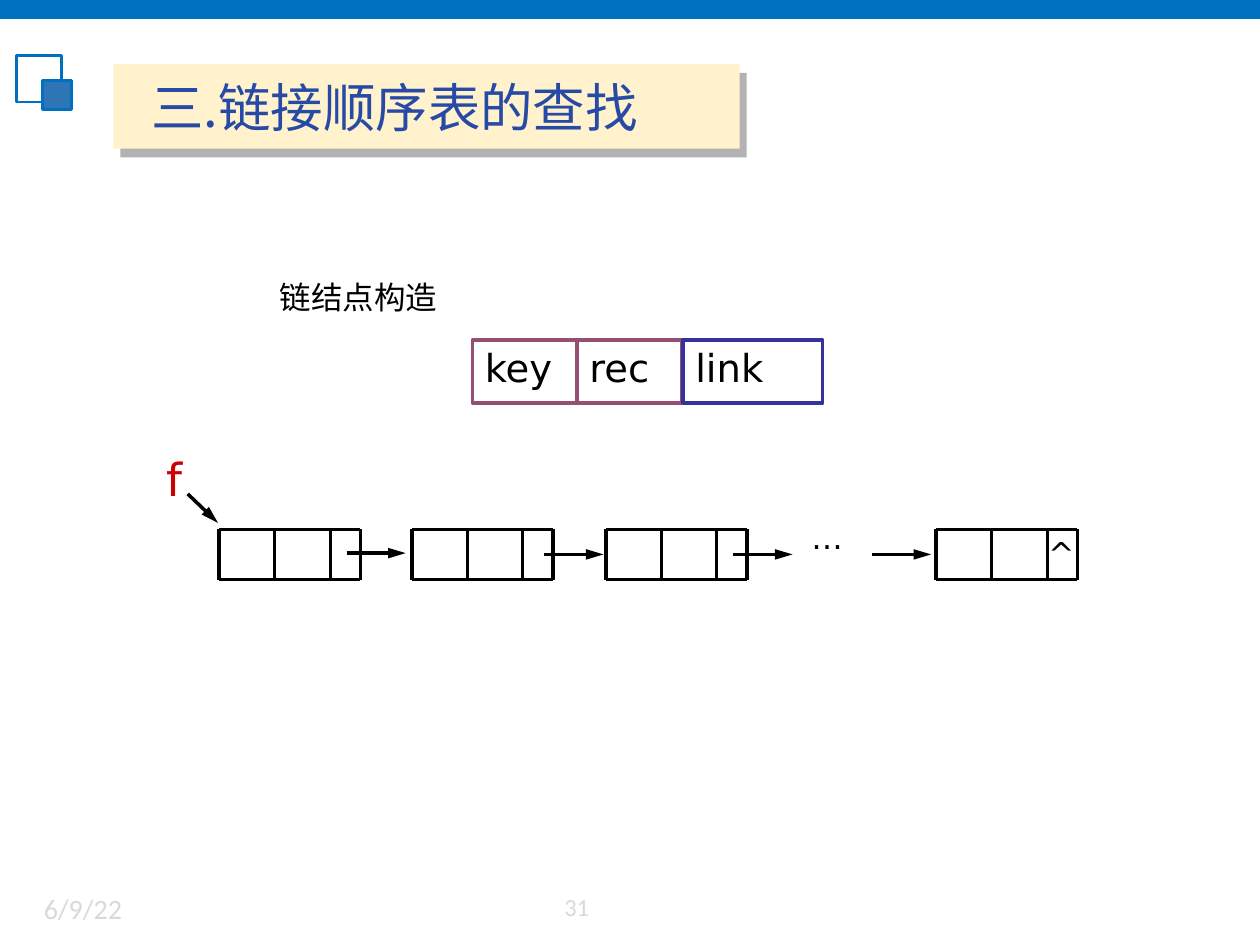
from lxml import etree
from pptx import Presentation
from pptx.dml.color import RGBColor
from pptx.enum.shapes import MSO_CONNECTOR, MSO_SHAPE
from pptx.enum.text import MSO_ANCHOR
from pptx.oxml import parse_xml
from pptx.oxml.ns import nsdecls, qn
from pptx.util import Inches, Pt

rgb = RGBColor.from_string
BLUE, BLACK, GREY = "0070C0", "000000", "D9D9D9"
DEJAVU = "DejaVu Sans"

prs = Presentation()
prs.slide_width, prs.slide_height = Inches(10), Inches(7.5)
s = prs.slides.add_slide(prs.slide_layouts[6])


def add_rect(x, y, w, h, fill=None, line=None, width=1.5):
    sp = s.shapes.add_shape(MSO_SHAPE.RECTANGLE, Inches(x), Inches(y), Inches(w), Inches(h))
    sp.shadow.inherit = False
    if fill:
        sp.fill.solid()
        sp.fill.fore_color.rgb = rgb(fill)
    else:
        sp.fill.background()
    if line:
        sp.line.color.rgb = rgb(line)
        sp.line.width = Pt(width)
    else:
        sp.line.fill.background()
    return sp


def add_line(x1, y1, x2, y2, width=2.0, arrow=False):
    cn = s.shapes.add_connector(MSO_CONNECTOR.STRAIGHT,
                                Inches(x1), Inches(y1), Inches(x2), Inches(y2))
    cn.line.color.rgb = rgb(BLACK)
    cn.line.width = Pt(width)
    if arrow:
        etree.SubElement(cn.line._get_or_add_ln(), qn("a:tailEnd"),
                         type="triangle", w="med", len="lg")
    etree.SubElement(cn._element.spPr, qn("a:effectLst"))


# Top bar and corner squares
add_rect(0, 0, 10, 0.15, fill=BLUE)
add_rect(0.13, 0.44, 0.36, 0.37, line=BLUE)
add_rect(0.34, 0.64, 0.23, 0.23, fill="2E75B6", line=BLUE)

# Title panel with a hard shadow
panel = add_rect(0.9, 0.51, 4.97, 0.67, fill="FFF2CC")
panel._element.spPr.remove(panel._element.spPr.find(qn("a:effectLst")))
panel._element.spPr.append(parse_xml(
    f'<a:effectLst {nsdecls("a")}><a:outerShdw blurRad="0" dist="81280" dir="3060000" '
    'algn="ctr" rotWithShape="0"><a:srgbClr val="B2B2B2"/></a:outerShdw></a:effectLst>'))

# Node fields; their labels are written in the cells
fields = []
for name, x, w, color in [("key", 3.75, 0.83, "954F72"), ("rec", 4.58, 0.83, "954F72"),
                          ("link", 5.42, 1.11, "333399")]:
    fields.append((add_rect(x, 2.7, w, 0.5, line=color, width=2), name, 22, DEJAVU, BLACK))

# Linked nodes: frame and two dividers each
top, bottom, node_w, cell_w = 4.2, 4.6, 1.12, 0.44
for x in [1.74, 3.27, 4.81, 7.43]:
    for y in [top, bottom]:
        add_line(x, y, x + node_w, y, 1.75)
    for dx, width in [(0, 2), (cell_w, 1.75), (2 * cell_w, 1.75), (node_w, 2)]:
        add_line(x + dx, top, x + dx, bottom, width)

# Pointers between nodes, and from f to the first node
for x, y in [(2.75, 4.39), (4.32, 4.4), (5.82, 4.4), (6.92, 4.4)]:
    add_line(x, y, x + 0.47, y, arrow=True)
add_line(1.49, 3.92, 1.73, 4.15, arrow=True)

# Text boxes: text, x, y, w, h, size, font, colour, wrap
labels = []
for text, x, y, w, h, size, font, color, wrap in [
    ("三.链接顺序表的查找", 1.1, 0.55, 5.19, 0.6, 30, "Noto Sans CJK SC", "264AA5", True),
    ("链结点构造", 2.12, 2.16, 2.38, 0.4, 18, DEJAVU, BLACK, True),
    ("f", 1.22, 3.53, 0.32, 0.53, 26, DEJAVU, "CC0000", False),
    ("^", 8.22, 4.19, 0.3, 0.4, 18, DEJAVU, BLACK, False),
    ("…", 6.34, 4.06, 0.41, 0.4, 18, DEJAVU, BLACK, False),
    ("6/9/22", 0.25, 7.03, 1.84, 0.4, 16, "Calibri", GREY, True),
    ("31", 4.38, 7.03, 0.62, 0.38, 14, "Calibri", GREY, True),
]:
    tb = s.shapes.add_textbox(Inches(x), Inches(y), Inches(w), Inches(h))
    tb.text_frame.word_wrap = wrap
    labels.append((tb, text, size, font, color))

# Fill in and format all text
for sp, text, size, font, color in fields + labels:
    tf = sp.text_frame
    tf.text = text
    tf.vertical_anchor = MSO_ANCHOR.TOP
    p = tf.paragraphs[0]
    p.alignment = 1  # left
    r = p.runs[0]
    r.font.size = Pt(size)
    r.font.name = font
    r.font.color.rgb = rgb(color)
    etree.SubElement(r.font._element, qn("a:ea"), typeface=font)
for sp, *_ in fields:
    sp.text_frame.margin_top = Inches(0.03)

prs.save("out.pptx")
